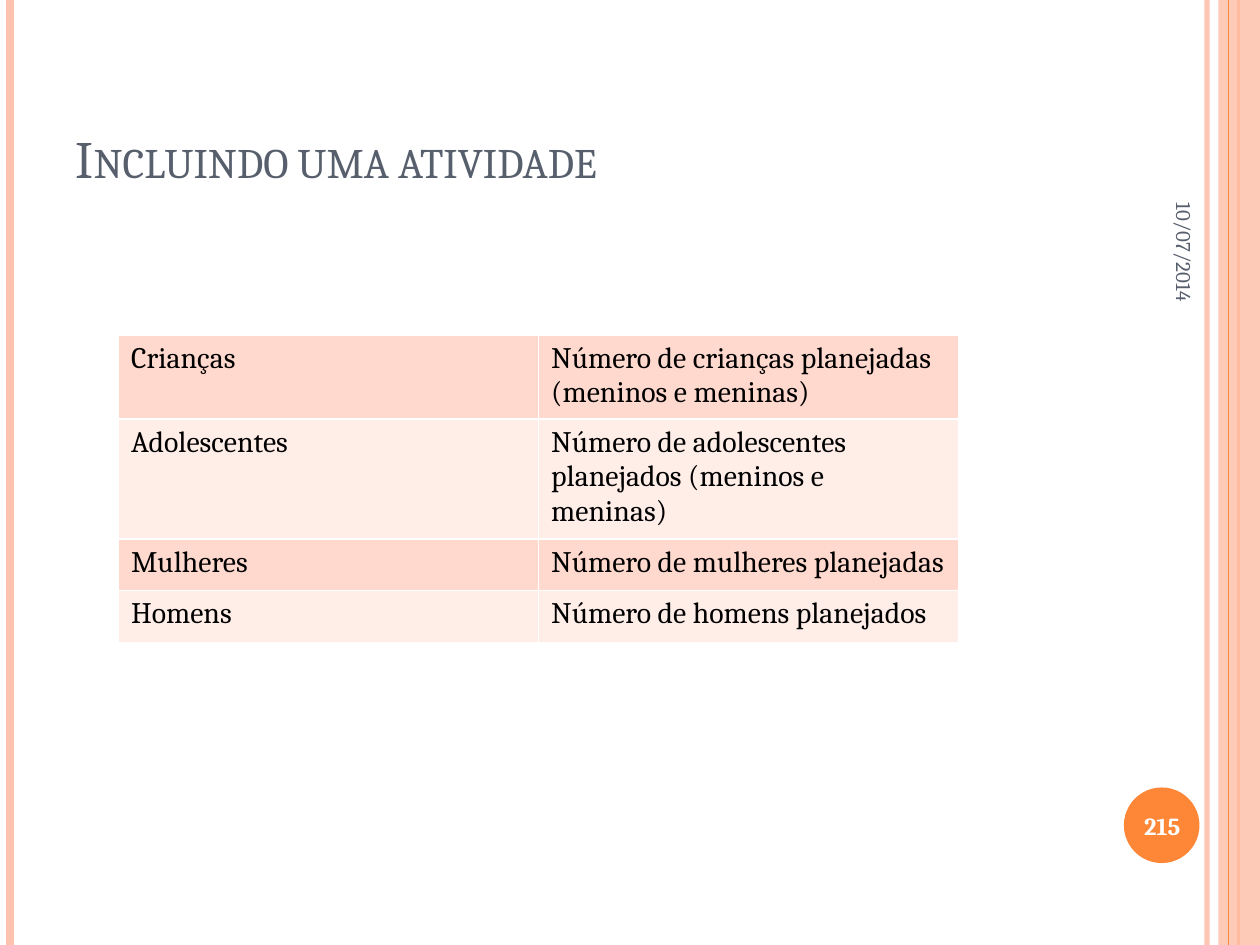
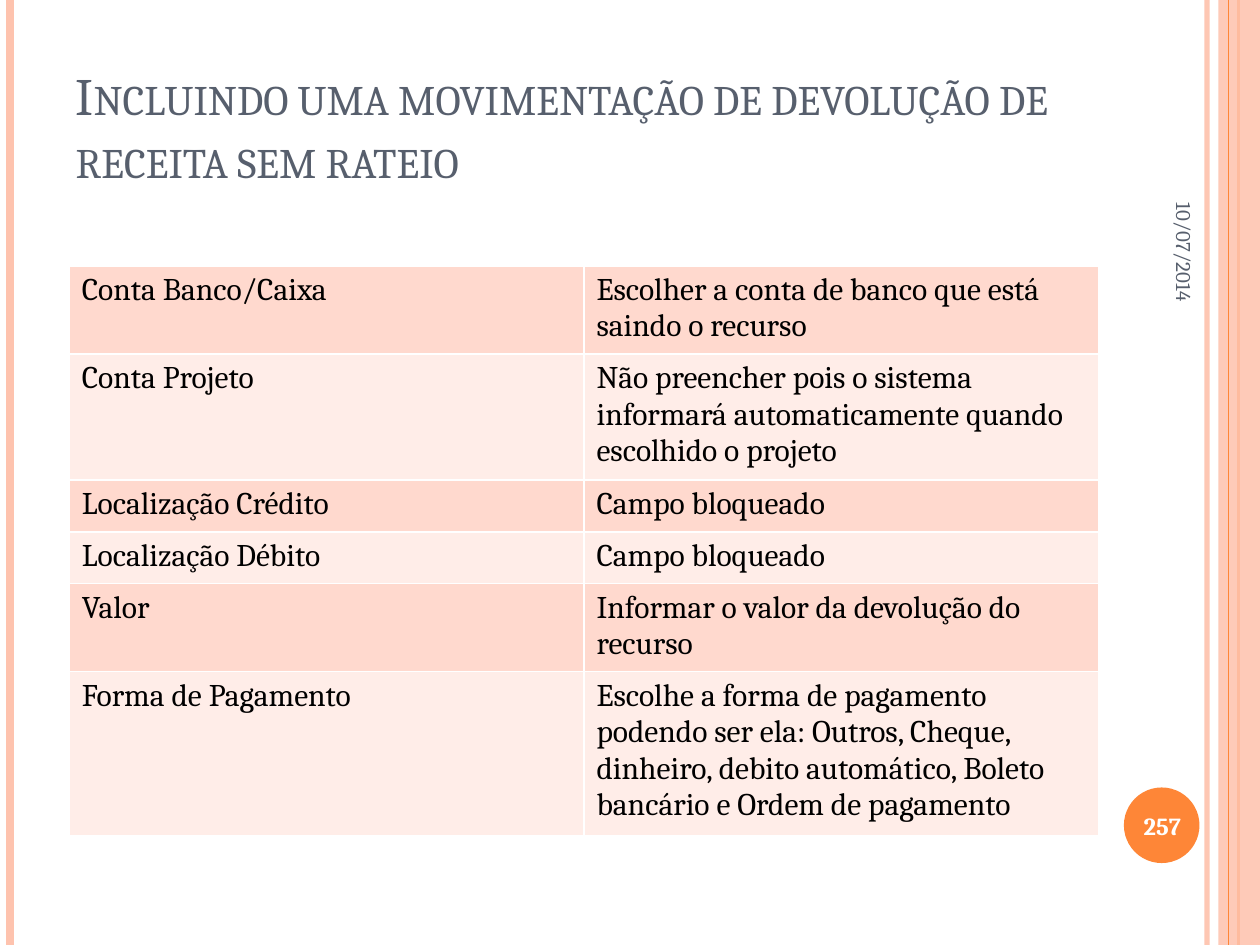
from lxml import etree
from pptx import Presentation
from pptx.dml.color import RGBColor
from pptx.enum import shapes, text
from pptx.oxml import ns
from pptx.util import Inches, Pt

FONT = "Cambria"
PEACH, ORANGE, SLATE = "FEC3AE", "FE8637", "575F6D"
BLACK, WHITE = "000000", "FFFFFF"
BANDS = ["FFD9CE", "FFEDE8"]
DATE = "10/07/2014"
HIGH = 7.5


def color(code):
    return RGBColor.from_string(code)


def box(*sizes):
    return [Inches(size) for size in sizes]


def child(node, tag, **attrs):
    return etree.SubElement(node, ns.qn(tag), attrs)


def fade(node, percent):
    """Make the solid colour under a node partly transparent."""
    rgb = next(node.iter(ns.qn("a:srgbClr")))
    child(rgb, "a:alpha", val=str(percent * 1000))


class Deck:
    def __init__(self):
        self.prs = Presentation()
        self.prs.slide_width, self.prs.slide_height = box(10, HIGH)
        self.slide = None

    def page(self, title, number):
        self.slide = self.prs.slides.add_slide(self.prs.slide_layouts[5])
        self.frame()
        self.title(title)
        self.label(DATE, (8.3, 1.18, 2.2, 0.42), "RIGHT", turn=90, size=12, ink=SLATE)
        self.label(number, (8.89, 6.27, 0.67, 0.57), "CENTER", size=14, ink=WHITE, bold=True)

    def frame(self):
        # Side stripes and number disc
        self.rule(9.58, PEACH, 3, 93)
        self.rule(0.08, PEACH, 4.5)
        self.rule(9.83, ORANGE, 1.5)
        self.shape("RECTANGLE", (9.67, 0, 0.33, HIGH), PEACH, 87)
        self.rule(9.75, ORANGE, 0.75)
        self.shape("OVAL", (8.92, 6.25, 0.6, 0.6), ORANGE)

    def rule(self, x, ink, width, alpha=100):
        line = self.slide.shapes.add_connector(
            shapes.MSO_CONNECTOR.STRAIGHT, *box(x, 0, x, HIGH))
        line.line.color.rgb = color(ink)
        line.line.width = Pt(width)
        props = line._element.spPr
        child(props, "a:effectLst")
        if alpha < 100:
            fade(props, alpha)

    def shape(self, kind, place, ink, alpha=100):
        item = self.slide.shapes.add_shape(
            getattr(shapes.MSO_SHAPE, kind), *box(*place))
        item.shadow.inherit = False
        item.fill.solid()
        item.fill.fore_color.rgb = color(ink)
        item.line.fill.background()
        if alpha < 100:
            fade(item._element.spPr, alpha)

    def words(self, frame, words, align="LEFT", size=18, ink=BLACK, bold=False):
        para = frame.paragraphs[0]
        para.alignment = getattr(text.PP_ALIGN, align)
        run = para.add_run()
        run.text = words
        looks = {"name": FONT, "size": Pt(size), "bold": bold}
        for key, value in looks.items():
            setattr(run.font, key, value)
        run.font.color.rgb = color(ink)
        return run

    def title(self, words):
        item = self.slide.shapes.title
        item.left, item.top, item.width, item.height = box(0.5, 0.3, 8.17, 1.25)
        frame = item.text_frame
        looks = {"vertical_anchor": text.MSO_ANCHOR.BOTTOM,
                 "auto_size": text.MSO_AUTO_SIZE.NONE, "word_wrap": True}
        for key, value in looks.items():
            setattr(frame, key, value)
        run = self.words(frame, words, size=30, ink=SLATE)
        run._r.get_or_add_rPr().set("cap", "small")

    def label(self, words, place, align, turn=0, **style):
        item = self.slide.shapes.add_textbox(*box(*place))
        item.rotation = turn
        frame = item.text_frame
        frame.word_wrap = True
        frame.vertical_anchor = text.MSO_ANCHOR.MIDDLE
        self.words(frame, words, align, **style)

    def table(self, rows, left, top, width, size):
        grid = self.slide.shapes.add_table(
            len(rows), 2, *box(left, top, width, 0.41 * len(rows))).table
        grid.first_row = grid.horz_banding = False
        for r, row in enumerate(rows):
            for c, words in enumerate(row):
                cell = grid.cell(r, c)
                self.edge(cell)
                cell.fill.solid()
                cell.fill.fore_color.rgb = color(BANDS[r % 2])
                self.words(cell.text_frame, words, size=size)

    def edge(self, cell):
        props = cell._tc.get_or_add_tcPr()
        for side in "LRTB":
            line = child(props, "a:ln" + side, w=str(Pt(1)))
            child(child(line, "a:solidFill"), "a:srgbClr", val=WHITE)


def main():
    deck = Deck()

    # People planned for an activity
    deck.page("Incluindo uma atividade", "215")
    deck.table([
        ("Crianças", "Número de crianças planejadas (meninos e meninas)"),
        ("Adolescentes", "Número de adolescentes planejados (meninos e meninas)"),
        ("Mulheres", "Número de mulheres planejadas"),
        ("Homens", "Número de homens planejados"),
    ], 0.94, 2.66, 6.67, 17)

    # Fields of a refund entry
    deck.page("Incluindo uma movimentação de devolução de receita sem rateio", "257")
    deck.table([
        ("Conta Banco/Caixa", "Escolher a conta de banco que está saindo o recurso"),
        ("Conta Projeto", "Não preencher pois o sistema informará automaticamente "
                          "quando escolhido o projeto"),
        ("Localização Crédito", "Campo bloqueado"),
        ("Localização Débito", "Campo bloqueado"),
        ("Valor", "Informar o valor da devolução do recurso"),
        ("Forma de Pagamento", "Escolhe a forma de pagamento podendo ser ela: Outros, "
                               "Cheque, dinheiro, debito automático, Boleto bancário "
                               "e Ordem de pagamento"),
    ], 0.55, 2.11, 8.17, 18)

    deck.prs.save("out.pptx")


if __name__ == "__main__":
    main()
